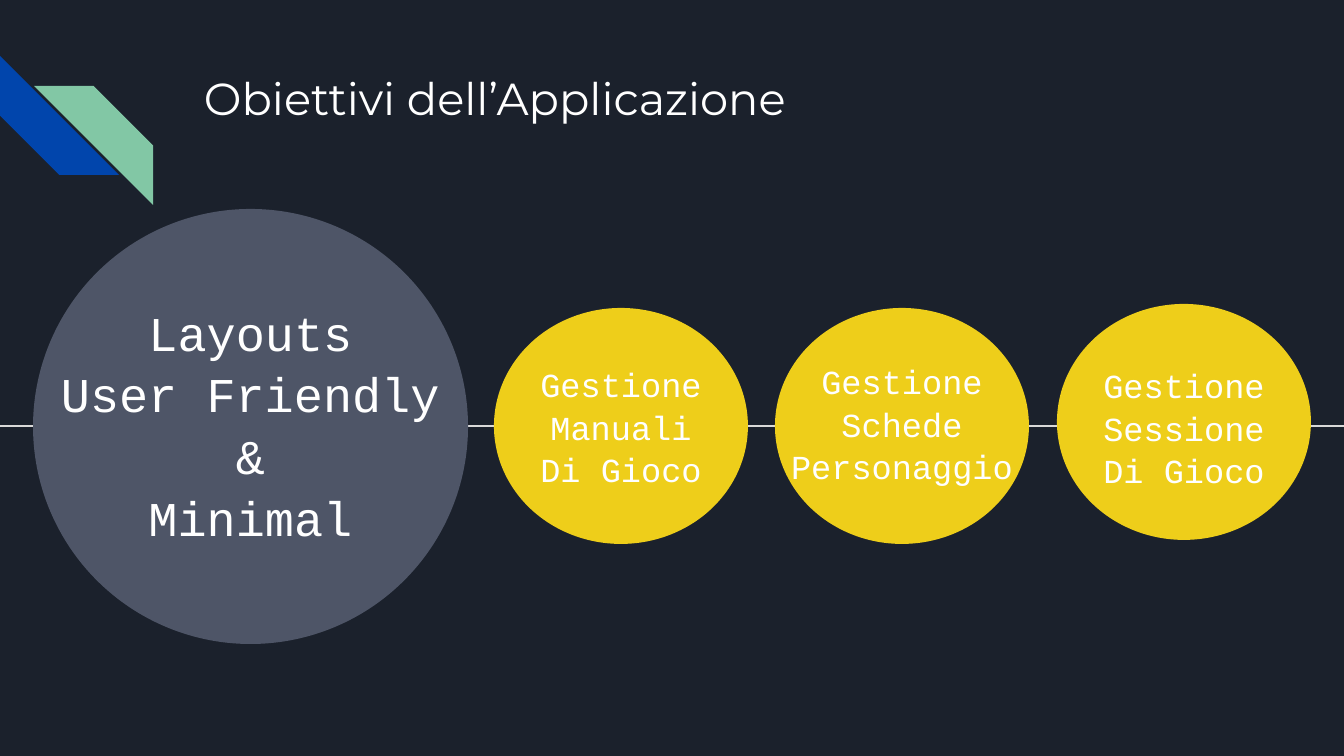
from typing import NamedTuple

from pptx import Presentation
from pptx.dml.color import RGBColor
from pptx.enum.shapes import MSO_CONNECTOR, MSO_SHAPE
from pptx.enum.text import MSO_ANCHOR, PP_ALIGN
from pptx.util import Emu, Pt
from lxml.etree import SubElement
from pptx.oxml.ns import qn

EMU_PER_PX = 914400 / 134.4
WHITE, YELLOW, SLATE = "FFFFFF", "EECE1A", "4E5567"


class Box(NamedTuple):
    x: int
    y: int
    w: int
    h: int


class Goal(NamedTuple):
    circle: Box
    fill: str
    text_y: int
    text_h: int
    size: int
    lines: list[str]


class Stripe(NamedTuple):
    box: Box
    fill: str
    rotation: int


STRIPES = [
    Stripe(Box(0, 56, 119, 119), "0145AC", 270),
    Stripe(Box(34, 86, 119, 119), "82C7A5", 90),
]
GOALS = [
    Goal(Box(33, 209, 435, 435), SLATE, 378, 89, 26,
         ["Layouts", "User Friendly", "&", "Minimal"]),
    Goal(Box(494, 308, 254, 236), YELLOW, 379, 93, 18,
         ["Gestione", "Manuali", "Di Gioco"]),
    Goal(Box(775, 308, 254, 236), YELLOW, 376, 93, 18,
         ["Gestione", "Schede", "Personaggio"]),
    Goal(Box(1057, 304, 254, 236), YELLOW, 378, 97, 18,
         ["Gestione", "Sessione", "Di Gioco"]),
]


def px(n: int) -> Emu:
    return Emu(round(n * EMU_PER_PX))


def place(box: Box) -> list[Emu]:
    return [px(n) for n in box]


def rgb(value: str) -> RGBColor:
    return RGBColor.from_string(value)


def add_filled(s, kind: MSO_SHAPE, box: Box, fill: str, rotation: int = 0) -> None:
    sp = s.shapes.add_shape(kind, *place(box))
    sp.shadow.inherit = False
    sp.fill.solid()
    sp.fill.fore_color.rgb = rgb(fill)
    sp.line.fill.background()
    sp.rotation = rotation


def add_text(s, box: Box, lines: list[str], font: str, size: int,
             align=PP_ALIGN.LEFT, anchor=MSO_ANCHOR.TOP, spacing: float = 1.0) -> None:
    tf = s.shapes.add_textbox(*place(box)).text_frame
    tf.word_wrap = True
    tf.vertical_anchor = anchor
    tf.margin_left = tf.margin_right = tf.margin_top = tf.margin_bottom = px(13)
    tf.text = "\n".join(lines)
    for p in tf.paragraphs:
        p.alignment = align
        p.line_spacing = spacing
        p.font.name = font
        p.font.size = Pt(size)
        p.font.color.rgb = rgb(WHITE)


def add_timeline(s, y: int, width: int) -> None:
    line = s.shapes.add_connector(MSO_CONNECTOR.STRAIGHT, 0, px(y), px(width), px(y))
    line.line.color.rgb = rgb("D9D9D9")
    line.line.width = Pt(1.5)
    SubElement(line._element.spPr, qn("a:effectLst"))


def add_goal(s, goal: Goal) -> None:
    add_filled(s, MSO_SHAPE.OVAL, goal.circle, goal.fill)
    text_box = goal.circle._replace(y=goal.text_y, h=goal.text_h)
    add_text(s, text_box, goal.lines, "Courier New", goal.size,
             PP_ALIGN.CENTER, MSO_ANCHOR.MIDDLE, 1.06)


def main() -> None:
    prs = Presentation()
    prs.slide_width, prs.slide_height = px(1344), px(756)
    s = prs.slides.add_slide(prs.slide_layouts[6])
    s.background.fill.solid()
    s.background.fill.fore_color.rgb = rgb("1B212C")

    for stripe in STRIPES:
        add_filled(s, MSO_SHAPE.DIAGONAL_STRIPE, stripe.box, stripe.fill, stripe.rotation)
    add_timeline(s, 426, 1344)
    add_text(s, Box(191, 58, 1035, 134), ["Obiettivi dell’Applicazione"], "Montserrat", 24)
    for goal in GOALS:
        add_goal(s, goal)
    prs.save("out.pptx")


if __name__ == "__main__":
    main()
